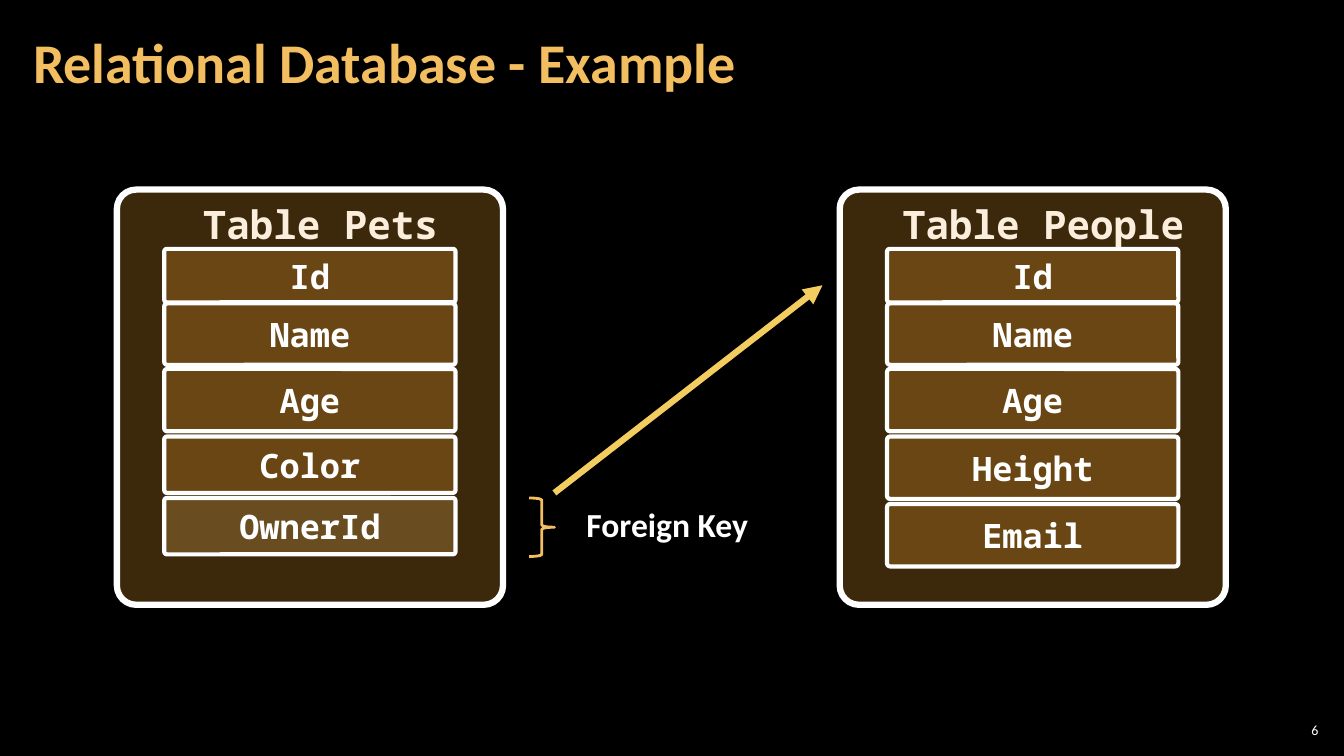
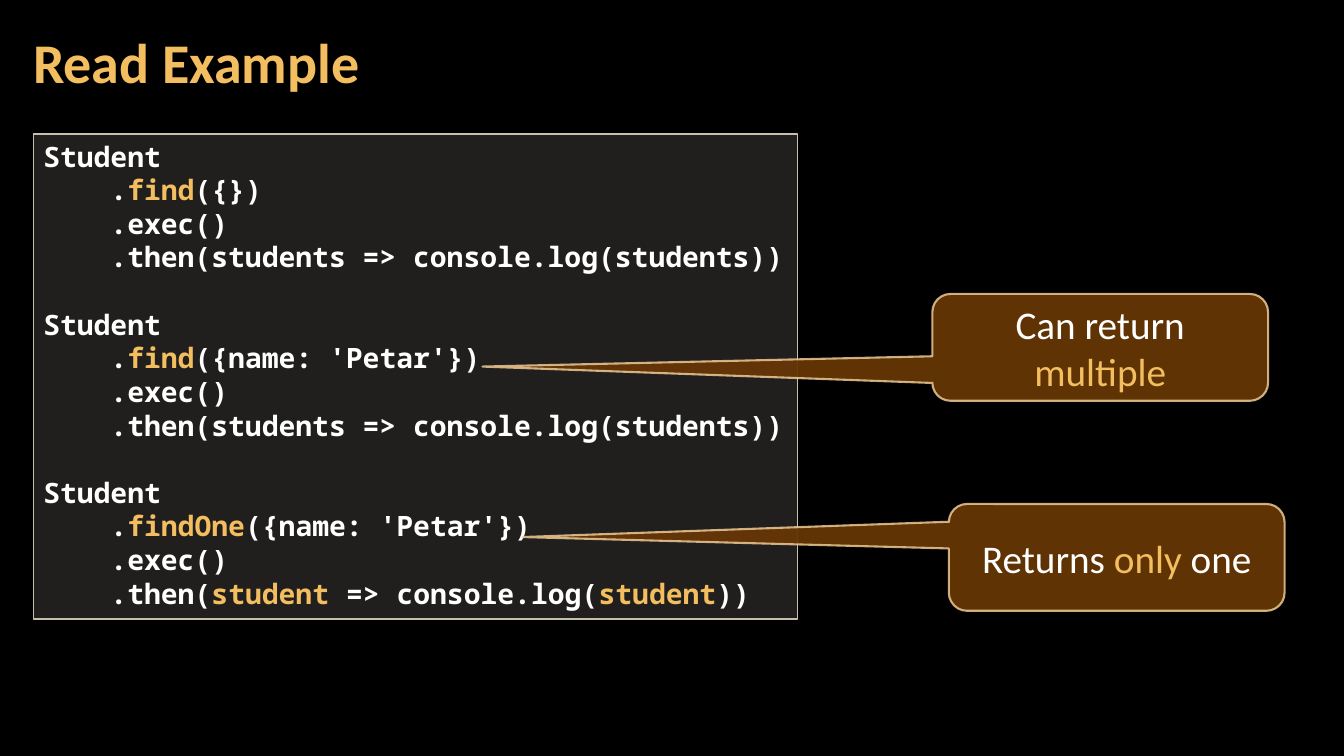
from dataclasses import dataclass

from pptx import Presentation
from pptx.dml.color import RGBColor
from pptx.enum.shapes import MSO_CONNECTOR as Connector, MSO_SHAPE as Shape
from pptx.enum.text import MSO_ANCHOR as Anchor, PP_ALIGN as Align
from pptx.oxml.ns import qn
from pptx.util import Pt
from lxml.etree import SubElement

# Shared style
BLACK, WHITE, GOLD, AMBER = "000000", "FFFFFF", "F3BE60", "F0A22E"
CREAM, ARROW = "FBEEDC", "F3CD60"
CODE_FILL, CODE_LINE = "D9D5C7", "C7BFAC"
CALLOUT_FILL, CALLOUT_LINE = "663606", "F8D49E"
SANS, MONO = "Calibri", "Noto Sans Mono"


@dataclass(frozen=True)
class Box:
    left: float
    top: float
    width: float
    height: float


@dataclass(frozen=True)
class TextStyle:
    size: float
    font: str = SANS
    color: str = WHITE
    bold: bool = False
    align: Align = Align.LEFT
    anchor: Anchor = Anchor.MIDDLE


@dataclass(frozen=True)
class Paint:
    """Fill and line of a shape; opacities are percentages."""
    fill: str | None
    fill_opacity: int
    line: str
    line_width: float
    line_opacity: int = 100


@dataclass(frozen=True)
class Field:
    name: str
    top: float
    height: float
    fill: str = AMBER


@dataclass(frozen=True)
class TableCard:
    left: float
    title: str
    title_indent: float
    fields: tuple[Field, ...]


@dataclass(frozen=True)
class Callout:
    text: str
    left: float
    top: float
    tip: tuple[float, float]


TITLE = TextStyle(40, color=GOLD, bold=True)
PAGE_NUMBER = TextStyle(10, align=Align.RIGHT)
CARD_TITLE = TextStyle(28, MONO, CREAM, True, anchor=Anchor.TOP)
FIELD = TextStyle(24, MONO, bold=True, align=Align.CENTER)
KEY_LABEL = TextStyle(24, bold=True, align=Align.CENTER, anchor=Anchor.TOP)
CODE = TextStyle(20, MONO, bold=True, anchor=Anchor.TOP)
CALLOUT = TextStyle(28, align=Align.CENTER)

# Slide content; text between bars is highlighted
SHARED_FIELDS = (Field("Id", 177.8, 38.2), Field("Name", 216.7, 43.9),
                 Field("Age", 263.5, 44.6))
CARDS = (
    TableCard(83.5, "Table Pets", 50.4, SHARED_FIELDS + (
        Field("Color", 311.8, 40.3), Field("OwnerId", 355.7, 40.3, GOLD))),
    TableCard(599.8, "Table People", 33.6, SHARED_FIELDS + (
        Field("Height", 311.8, 44.6), Field("Email", 360, 44.6))),
)
QUERIES = (
    ("Student", ".|find|({})", ".exec()",
     ".then(students => console.log(students))"),
    ("Student", ".|find|({name: 'Petar'})", ".exec()",
     ".then(students => console.log(students))"),
    ("Student", ".|findOne|({name: 'Petar'})", ".exec()",
     ".then(|student |=> console.log(|student|))"),
)
CALLOUTS = (
    Callout("Can return |multiple", 666, 210, (-1.84, 0.18)),
    Callout("Returns |only| one", 677.8, 360, (-1.77, -0.19)),
)


def color_of(value: str) -> RGBColor:
    return RGBColor.from_string(value)


def set_opacity(parent, percent: int) -> None:
    """Add an alpha value to the solid fill directly below parent."""
    if percent < 100:
        color = parent.find(qn("a:solidFill"))[0]
        SubElement(color, qn("a:alpha"), val=str(percent * 1000))


def write(paragraph, text: str, style: TextStyle, indent: float = 0) -> None:
    paragraph.alignment = style.align
    font = paragraph.font
    font.size, font.name, font.bold = Pt(style.size), style.font, style.bold
    font.color.rgb = color_of(style.color)
    if indent:
        properties = paragraph._p.get_or_add_pPr()
        properties.set("marL", str(Pt(indent)))
        properties.set("indent", "0")
    for index, part in enumerate(text.split("|")):
        if part:
            run = paragraph.add_run()
            run.text = part
            if index % 2:
                run.font.color.rgb = color_of(GOLD)


def add_text(slide, box: Box, text: str, style: TextStyle,
             margins: tuple[float, float] = (7.2, 3.6)):
    shape = slide.shapes.add_textbox(
        Pt(box.left), Pt(box.top), Pt(box.width), Pt(box.height))
    frame = shape.text_frame
    frame.word_wrap = True
    frame.vertical_anchor = style.anchor
    frame.margin_left = frame.margin_right = Pt(margins[0])
    frame.margin_top = frame.margin_bottom = Pt(margins[1])
    write(frame.paragraphs[0], text, style)
    return shape


def add_shape(slide, kind: Shape, box: Box, paint: Paint,
              adjustments: tuple[float, ...] = ()):
    shape = slide.shapes.add_shape(
        kind, Pt(box.left), Pt(box.top), Pt(box.width), Pt(box.height))
    shape.shadow.inherit = False
    for index, value in enumerate(adjustments):
        shape.adjustments[index] = value
    properties = shape.element.spPr
    if paint.fill is None:
        shape.fill.background()
    else:
        shape.fill.solid()
        shape.fill.fore_color.rgb = color_of(paint.fill)
        set_opacity(properties, paint.fill_opacity)
    shape.line.color.rgb = color_of(paint.line)
    shape.line.width = Pt(paint.line_width)
    set_opacity(properties.find(qn("a:ln")), paint.line_opacity)
    return shape


def fill_text(shape, text: str, style: TextStyle, indent: float = 0) -> None:
    shape.text_frame.vertical_anchor = style.anchor
    write(shape.text_frame.paragraphs[0], text, style, indent)


def add_arrow(slide, start: tuple[float, float],
              end: tuple[float, float]) -> None:
    arrow = slide.shapes.add_connector(
        Connector.STRAIGHT, Pt(start[0]), Pt(start[1]), Pt(end[0]), Pt(end[1]))
    arrow.line.color.rgb = color_of(ARROW)
    arrow.line.width = Pt(4.5)
    properties = arrow.element.spPr
    SubElement(properties.find(qn("a:ln")), qn("a:tailEnd"), type="triangle")
    SubElement(properties, qn("a:effectLst"))


def add_slide(presentation, title: str):
    slide = presentation.slides.add_slide(presentation.slide_layouts[6])
    slide.background.fill.solid()
    slide.background.fill.fore_color.rgb = color_of(BLACK)
    shape = add_text(slide, Box(15.1, 2.9, 753.8, 87.1), title, TITLE, (8.5, 2.9))
    shape.text_frame.paragraphs[0].line_spacing = 0.9
    return slide


def draw_card(slide, card: TableCard) -> None:
    shape = add_shape(slide, Shape.ROUNDED_RECTANGLE,
                      Box(card.left, 135.4, 275.8, 296.6),
                      Paint(AMBER, 25, WHITE, 4.5), (0.05,))
    fill_text(shape, card.title, CARD_TITLE, card.title_indent)
    for field in card.fields:
        row = add_shape(slide, Shape.ROUNDED_RECTANGLE,
                        Box(card.left + 33.8, field.top, 208.1, field.height),
                        Paint(field.fill, 25, WHITE, 3), (0.05,))
        fill_text(row, field.name, FIELD)


def draw_database_slide(presentation) -> None:
    slide = add_slide(presentation, "Relational Database - Example")
    add_text(slide, Box(910.8, 514.1, 33.8, 15.1), "6", PAGE_NUMBER, (2.9, 2.9))
    for card in CARDS:
        draw_card(slide, card)
    # Foreign key
    add_shape(slide, Shape.RIGHT_BRACE, Box(378, 355.7, 18, 41.8),
              Paint(None, 100, GOLD, 2))
    add_text(slide, Box(407.5, 356.4, 138.2, 36), "Foreign Key", KEY_LABEL)
    add_arrow(slide, (396, 352.1), (587.5, 203.8))


def draw_read_slide(presentation) -> None:
    slide = add_slide(presentation, "Read Example")
    # Code panel
    panel = add_shape(slide, Shape.RECTANGLE, Box(23.8, 95.8, 545.8, 346.3),
                      Paint(CODE_FILL, 15, CODE_LINE, 1))
    frame = panel.text_frame
    frame.vertical_anchor = CODE.anchor
    for query_index, query in enumerate(QUERIES):
        for line_index, line in enumerate(query):
            first = query_index == line_index == 0
            paragraph = frame.paragraphs[0] if first else frame.add_paragraph()
            write(paragraph, line, CODE, 48 if line_index else 0)
            if query_index and not line_index:
                paragraph.space_before = Pt(24)
    # Callouts
    for callout in CALLOUTS:
        shape = add_shape(slide, Shape.ROUNDED_RECTANGULAR_CALLOUT,
                          Box(callout.left, callout.top, 239.8, 76.3),
                          Paint(CALLOUT_FILL, 95, CALLOUT_LINE, 1.5, 80),
                          (*callout.tip, 0.17))
        fill_text(shape, callout.text, CALLOUT)


def main() -> None:
    presentation = Presentation()
    presentation.slide_width, presentation.slide_height = Pt(960), Pt(540)
    draw_database_slide(presentation)
    draw_read_slide(presentation)
    presentation.save("out.pptx")


if __name__ == "__main__":
    main()
